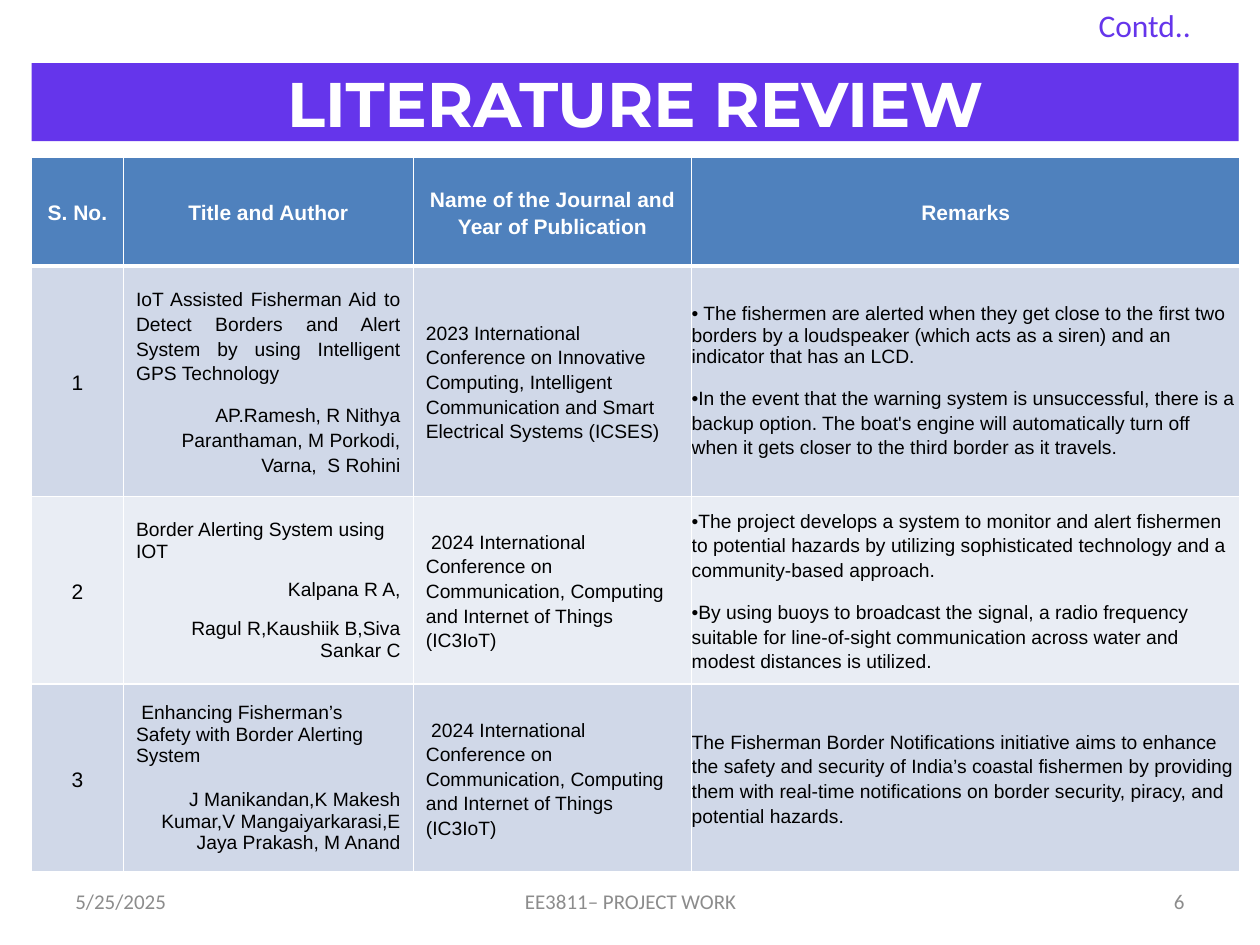
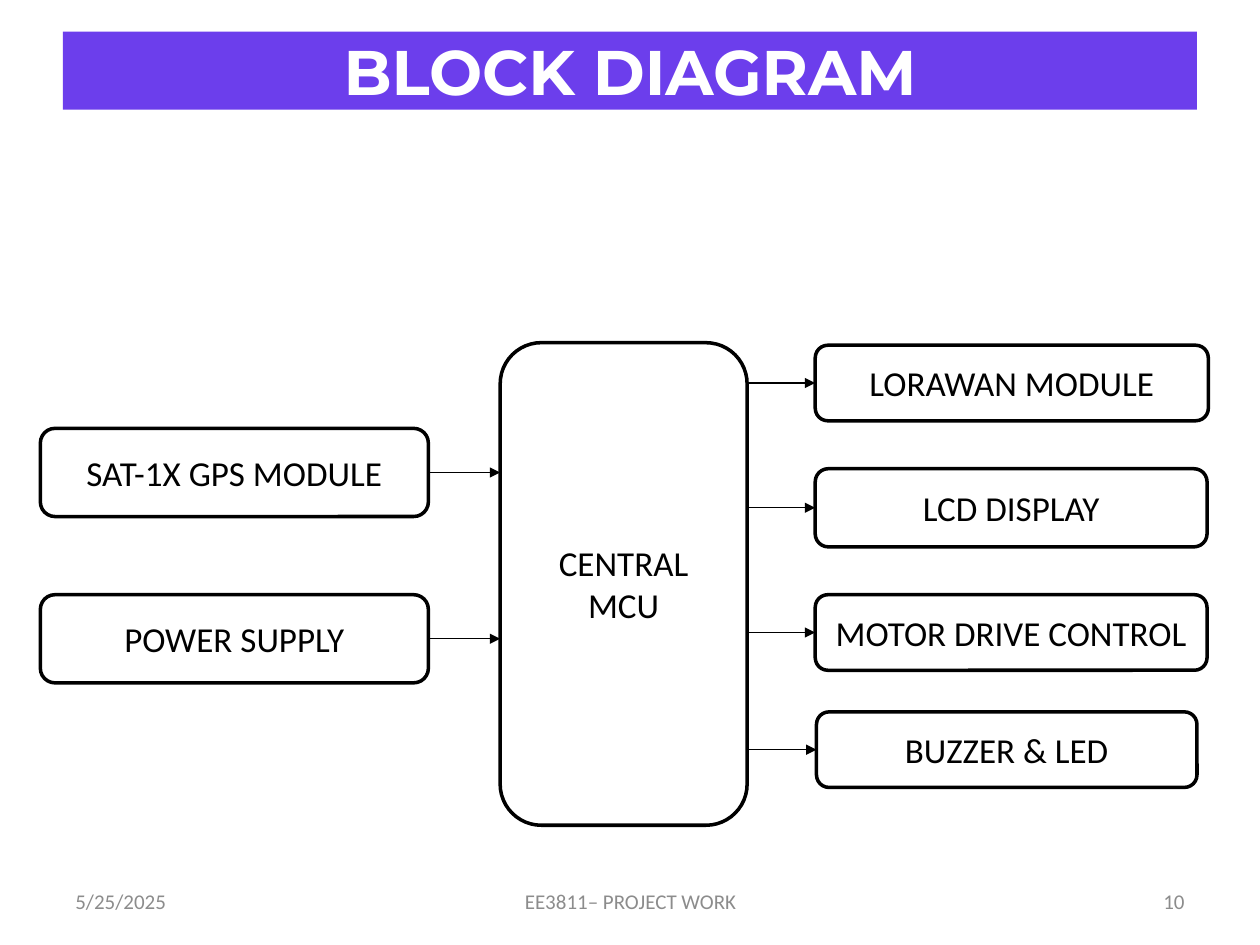
from pptx import Presentation
from pptx.dml.color import RGBColor
from pptx.enum.shapes import MSO_CONNECTOR, MSO_SHAPE
from pptx.enum.text import MSO_ANCHOR, PP_ALIGN
from pptx.oxml.ns import qn
from pptx.util import Inches, Pt
from lxml import etree

LEFT, CENTER, RIGHT, JUSTIFY = PP_ALIGN.LEFT, PP_ALIGN.CENTER, PP_ALIGN.RIGHT, PP_ALIGN.JUSTIFY
MIDDLE, TOP = MSO_ANCHOR.MIDDLE, MSO_ANCHOR.TOP
RECTANGLE, ROUNDED = MSO_SHAPE.RECTANGLE, MSO_SHAPE.ROUNDED_RECTANGLE
STRAIGHT = MSO_CONNECTOR.STRAIGHT

# Theme
THEME = {
    "white": "FFFFFF", "black": "000000", "violet": "6535EB", "light_violet": "6C3EEC",
    "header": "4F81BD", "bands": ("D0D8E8", "E9EDF4"),
    "title": {"name": "Montserrat", "size": 36, "bold": True, "color": "FFFFFF"},
    "footer": {"name": "Calibri", "size": 12, "color": "8C8C8C"},
    "note": {"name": "Calibri", "size": 18, "color": "6535EB"},
    "block": {"name": "Calibri", "size": 20, "color": "000000"},
    "heading": {"name": "Arial", "size": 12, "bold": True, "color": "FFFFFF"},
    "number": {"name": "Arial", "size": 12, "bold": False, "color": "000000"},
    "body": {"name": "Arial", "size": 11, "bold": False, "color": "000000"},
}

# Shared content: left, width, alignment; an empty text takes the page number
FOOTERS = [
    ("5/25/2025", 0.5, 2.33, LEFT),
    ("EE3811– PROJECT WORK", 3.42, 3.17, CENTER),
    ("", 7.17, 2.33, RIGHT),
]

# Literature table: each paragraph is (text, format)
LOOSE = {"line_spacing": 1.15, "space_after": Pt(10)}
TIGHT = {"space_after": Pt(10)}
BULLET = {**LOOSE, "bullet": True}
JOURNAL_2024 = (" 2024 International Conference on Communication, "
                "Computing and Internet of Things (IC3IoT)")
COLUMNS = [("S. No.", 0.73), ("Title and Author", 2.3),
           ("Name of the Journal and Year of Publication", 2.21), ("Remarks", 4.35)]
ROW_HEIGHTS = [0.86, 1.83, 1.49, 1.49]
STUDIES = [
    (
        [("IoT Assisted Fisherman Aid to Detect Borders and Alert System by using "
          "Intelligent GPS Technology", {**LOOSE, "alignment": JUSTIFY}),
         ("AP.Ramesh, R Nithya Paranthaman, M Porkodi, Varna,  S Rohini",
          {**LOOSE, "alignment": RIGHT})],
        [("2023 International Conference on Innovative Computing, Intelligent "
          "Communication and Smart Electrical Systems (ICSES)", LOOSE)],
        [(" The fishermen are alerted when they get close to the first two borders by a "
          "loudspeaker (which acts as a siren) and an indicator that has an LCD.",
          {**TIGHT, "bullet": True}),
         ("In the event that the warning system is unsuccessful, there is a backup option. "
          "The boat's engine will automatically turn off when it gets closer to the third "
          "border as it travels.", BULLET)],
    ),
    (
        [("Border Alerting System using IOT", TIGHT),
         ("Kalpana R A,", {**TIGHT, "alignment": RIGHT}),
         ("Ragul R,Kaushiik B,Siva Sankar C", {**TIGHT, "alignment": RIGHT})],
        [(JOURNAL_2024, LOOSE)],
        [("The project develops a system to monitor and alert fishermen to potential hazards "
          "by utilizing sophisticated technology and a community-based approach.", BULLET),
         ("By using buoys to broadcast the signal, a radio frequency suitable for "
          "line-of-sight communication across water and modest distances is utilized.",
          BULLET)],
    ),
    (
        [(" Enhancing Fisherman’s Safety with Border Alerting System", {"space_after": Pt(13)}),
         ("J Manikandan,K Makesh Kumar,V Mangaiyarkarasi,E Jaya Prakash, M Anand",
          {"alignment": RIGHT})],
        [(JOURNAL_2024, LOOSE)],
        [("The Fisherman Border Notifications initiative aims to enhance the safety and "
          "security of India’s coastal fishermen by providing them with real-time "
          "notifications on border security, piracy, and potential hazards.", LOOSE)],
    ),
]

# Block diagram: left, top, width, height
CONTROLLER = ("CENTRAL MCU", (3.97, 2.72, 1.96, 3.83))
INPUTS = [
    ("SAT-1X GPS MODULE", (0.32, 3.4, 3.08, 0.7)),
    ("POWER SUPPLY", (0.32, 4.72, 3.08, 0.7)),
]
OUTPUTS = [
    ("LORAWAN MODULE", (6.47, 2.74, 3.12, 0.6)),
    ("LCD DISPLAY", (6.47, 3.72, 3.11, 0.62)),
    ("MOTOR DRIVE CONTROL", (6.47, 4.72, 3.11, 0.6)),
    ("BUZZER & LED", (6.48, 5.65, 3.02, 0.6)),
]


def color(value):
    return RGBColor.from_string(value)


def inches(place):
    return [Inches(length) for length in place]


def write(frame, paragraphs, style):
    """Fill a text frame with (text, format) paragraphs in one type style."""
    frame.word_wrap = True
    for index, (text, layout) in enumerate(paragraphs):
        para = frame.paragraphs[0] if index == 0 else frame.add_paragraph()
        for name, value in layout.items():
            if name == "bullet":
                add_bullet(para)
            else:
                setattr(para, name, value)
        span = para.add_run()
        span.text = text
        for name, value in style.items():
            if name == "color":
                span.font.color.rgb = color(value)
            else:
                setattr(span.font, name, Pt(value) if name == "size" else value)


def add_bullet(para):
    properties = para._p.get_or_add_pPr()
    properties.set("marL", "0")
    properties.set("indent", "0")
    etree.SubElement(properties, qn("a:buFont")).set("typeface", "Arial")
    etree.SubElement(properties, qn("a:buChar")).set("char", "•")


def add_text(page, text, place, style, alignment=LEFT, anchor=MIDDLE):
    box = page.shapes.add_textbox(*inches(place))
    write(box.text_frame, [(text, {"alignment": alignment})], style)
    box.text_frame.vertical_anchor = anchor


def add_box(page, kind, text, place, fill, style, outline=None):
    box = page.shapes.add_shape(kind, *inches(place))
    box.shadow.inherit = False
    box.fill.solid()
    box.fill.fore_color.rgb = color(fill)
    if outline:
        box.line.color.rgb = color(outline)
        box.line.width = Pt(2)
    else:
        box.line.fill.background()
    box.text_frame.vertical_anchor = MIDDLE
    write(box.text_frame, [(text, {"alignment": CENTER})], style)


def add_arrow(page, start, end, height):
    arrow = page.shapes.add_connector(STRAIGHT, *inches((start, height, end, height)))
    arrow.line.color.rgb = color(THEME["black"])
    arrow.line.width = Pt(0.75)
    etree.SubElement(arrow.line._get_or_add_ln(), qn("a:tailEnd")).set("type", "triangle")
    etree.SubElement(arrow._element.spPr, qn("a:effectLst"))


def add_page(deck, title, band, fill, number):
    """Start a blank page with its title band and footers."""
    page = deck.slides.add_slide(deck.slide_layouts[6])
    add_box(page, RECTANGLE, title, band, fill, THEME["title"])
    for text, left, width, alignment in FOOTERS:
        add_text(page, text or number, (left, 6.95, width, 0.4), THEME["footer"], alignment)
    return page


def format_cell(cell, paragraphs, style, fill, inset, bottom_line):
    for side in "LRTB":
        width = Pt(bottom_line if side == "B" else 1)
        line = etree.SubElement(cell._tc.get_or_add_tcPr(), qn(f"a:ln{side}"), w=str(width))
        solid = etree.SubElement(line, qn("a:solidFill"))
        etree.SubElement(solid, qn("a:srgbClr")).set("val", THEME["white"])
    cell.fill.solid()
    cell.fill.fore_color.rgb = color(fill)
    cell.vertical_anchor = MIDDLE
    cell.margin_left = cell.margin_right = Inches(inset)
    cell.margin_top = cell.margin_bottom = Inches(inset / 2)
    write(cell.text_frame, paragraphs, style)


def build_literature(deck):
    page = add_page(deck, "LITERATURE REVIEW", (0.25, 0.5, 9.58, 0.62), THEME["violet"], "6")
    add_text(page, "Contd..", (8.62, 0, 1.38, 0.4), THEME["note"], anchor=TOP)

    centered = {**LOOSE, "alignment": CENTER}
    rows = [[[(heading, centered)] for heading, _ in COLUMNS]]
    rows += [[[(str(number), centered)], *study] for number, study in enumerate(STUDIES, 1)]

    place = (0.25, 1.25, 9.58, sum(ROW_HEIGHTS))
    table = page.shapes.add_table(len(rows), len(COLUMNS), *inches(place)).table
    for column, (_, width) in zip(table.columns, COLUMNS):
        column.width = Inches(width)
    for row, height in zip(table.rows, ROW_HEIGHTS):
        row.height = Inches(height)

    for r, row in enumerate(rows):
        fill = THEME["bands"][(r - 1) % 2] if r else THEME["header"]
        for c, paragraphs in enumerate(row):
            style = THEME["heading" if r == 0 else "number" if c == 0 else "body"]
            inset = 0 if c == len(COLUMNS) - 1 else 0.1
            format_cell(table.cell(r, c), paragraphs, style, fill, inset, 1 if r else 3)


def build_diagram(deck):
    page = add_page(deck, "BLOCK DIAGRAM", (0.5, 0.25, 9, 0.62), THEME["light_violet"], "10")
    for text, place in [CONTROLLER, *INPUTS, *OUTPUTS]:
        add_box(page, ROUNDED, text, place, THEME["white"], THEME["block"], THEME["black"])

    # Arrows run from the inputs to the controller, and on to the outputs
    near, _, span, _ = CONTROLLER[1]
    for _, (left, top, width, height) in INPUTS:
        add_arrow(page, left + width, near, top + height / 2)
    for _, (left, top, _, height) in OUTPUTS:
        add_arrow(page, near + span, left, top + height / 2)


def main():
    deck = Presentation()
    deck.slide_width, deck.slide_height = Inches(10), Inches(7.5)
    build_literature(deck)
    build_diagram(deck)
    deck.save("out.pptx")


if __name__ == "__main__":
    main()
